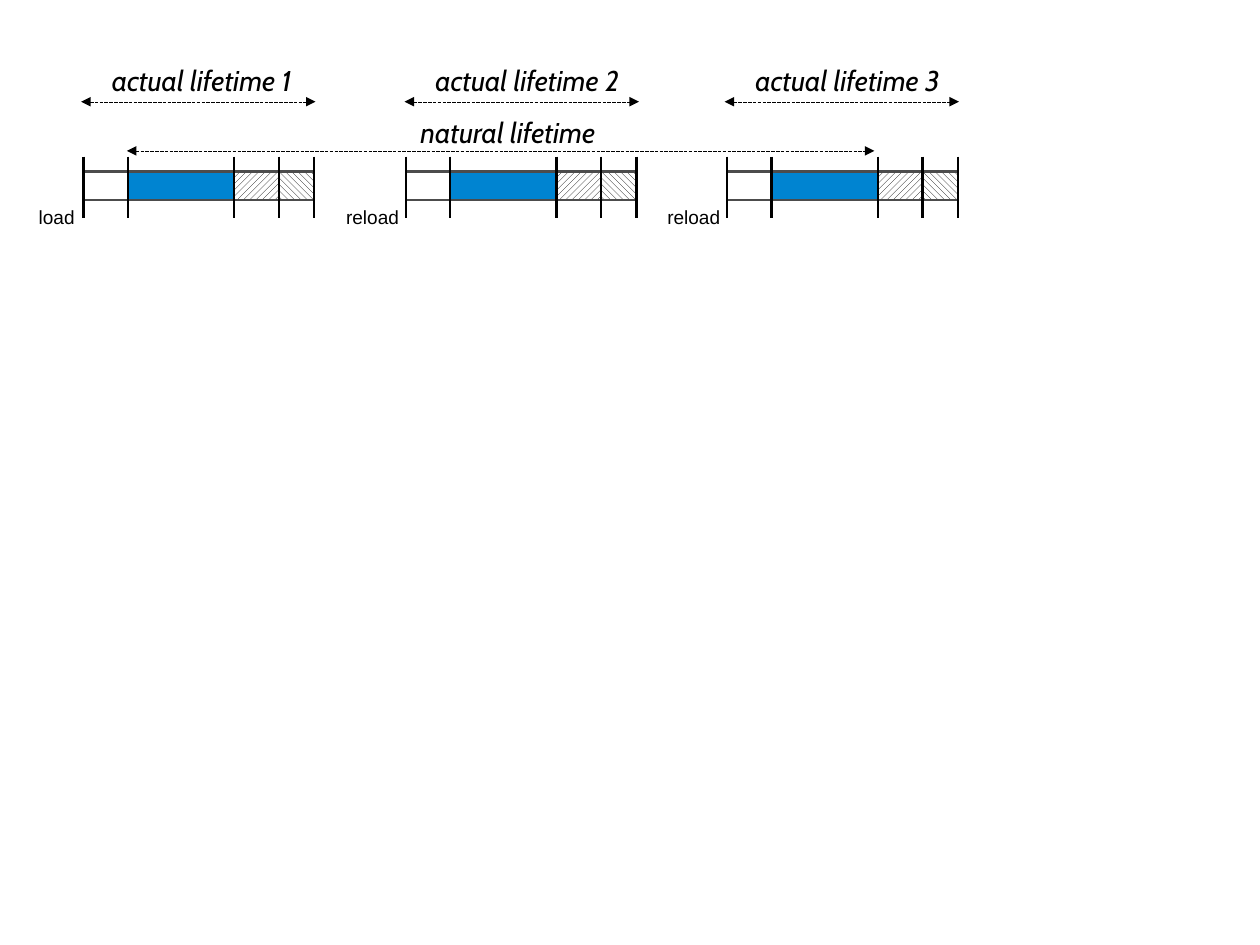
from itertools import pairwise

from lxml import etree
from pptx import Presentation
from pptx.dml.color import RGBColor
from pptx.enum.dml import MSO_LINE, MSO_PATTERN
from pptx.enum.shapes import MSO_CONNECTOR, MSO_SHAPE
from pptx.enum.text import MSO_AUTO_SIZE
from pptx.oxml.ns import qn
from pptx.util import Inches, Pt

RECTANGLE = MSO_SHAPE.RECTANGLE
STRAIGHT = MSO_CONNECTOR.STRAIGHT
FIT_TEXT = MSO_AUTO_SIZE.SHAPE_TO_FIT_TEXT
DASH = MSO_LINE.SQUARE_DOT
UPWARD = MSO_PATTERN.WIDE_UPWARD_DIAGONAL
DOWNWARD = MSO_PATTERN.WIDE_DOWNWARD_DIAGONAL

BLACK = RGBColor(0x00, 0x00, 0x00)
WHITE = RGBColor(0xFF, 0xFF, 0xFF)
BLUE = RGBColor(0x00, 0x84, 0xD1)
GRAY = RGBColor(0x4C, 0x4C, 0x4C)

CENTIMETERS_PER_INCH = 2.54
LINE_WIDTH = Pt(1.45)
TICKS = [0, 0.39, 1.32, 1.71, 2.02]
PHASE_FILLS = [None, BLUE, UPWARD, DOWNWARD]
LIFETIMES = [
    (0.73, 0.71, "load", 0.24, 0.54),
    (3.55, 3.54, "reload", 2.93, 0.66),
    (6.36, 6.34, "reload", 5.74, 0.66),
]


def add_line(shapes, left, top, right, bottom):
    """Add a plain black line without a shadow and return it."""
    line = shapes.add_connector(
        STRAIGHT, Inches(left), Inches(top), Inches(right), Inches(bottom)
    )
    line.line.color.rgb = BLACK
    line.line.width = LINE_WIDTH
    etree.SubElement(line._element.spPr, qn("a:effectLst"))
    return line


def add_span(shapes, left, right, top):
    """Add a dashed hairline with an arrowhead at both ends."""
    span = add_line(shapes, left, top, right, top)
    span.line.dash_style = DASH
    outline = span.line._get_or_add_ln()
    outline.set("w", "0")
    for end in ("a:headEnd", "a:tailEnd"):
        etree.SubElement(outline, qn(end), type="triangle")


def add_label(shapes, text, left, top, width, height, font_name, size, italic=False):
    """Add a single-line text label."""
    label = shapes.add_textbox(
        Inches(left), Inches(top), Inches(width), Inches(height)
    )
    text_frame = label.text_frame
    text_frame.text = text
    text_frame.word_wrap = False
    text_frame.auto_size = FIT_TEXT
    font = text_frame.paragraphs[0].runs[0].font
    font.name = font_name
    font.size = Pt(size)
    font.italic = italic
    font.color.rgb = BLACK


def add_phase(shapes, left, width, phase_fill):
    """Add one phase of a lifetime as an empty, solid or hatched box."""
    phase = shapes.add_shape(
        RECTANGLE, Inches(left), Inches(1.5), Inches(width), Inches(0.25)
    )
    phase.shadow.inherit = False
    phase.line.color.rgb = GRAY
    phase.line.width = LINE_WIDTH
    if phase_fill is None:
        phase.fill.background()
    elif phase_fill == BLUE:
        phase.fill.solid()
        phase.fill.fore_color.rgb = BLUE
    else:
        phase.fill.patterned()
        phase.fill.pattern = phase_fill
        phase.fill.fore_color.rgb = BLACK
        phase.fill.back_color.rgb = WHITE


def add_timeline(shapes, start):
    """Add a group of four phases separated by five ticks."""
    timeline = shapes.add_group_shape().shapes
    for (left, right), phase_fill in zip(pairwise(TICKS), PHASE_FILLS):
        add_phase(timeline, start + left, right - left, phase_fill)
    for tick in TICKS:
        add_line(timeline, start + tick, 1.37, start + tick, 1.91)


def main():
    """Build the lifetime diagram and save it."""
    presentation = Presentation()
    presentation.slide_width = Inches(28 / CENTIMETERS_PER_INCH)
    presentation.slide_height = Inches(21 / CENTIMETERS_PER_INCH)
    slide = presentation.slides.add_slide(presentation.slide_layouts[6])
    shapes = slide.shapes

    for number, lifetime in enumerate(LIFETIMES, 1):
        start, span_left, event, event_left, event_width = lifetime
        add_timeline(shapes, start)
        add_label(shapes, f"actual lifetime {number}", span_left + 0.17, 0.5,
                  1.98, 0.44, "Cabin", 18, italic=True)
        add_span(shapes, span_left, span_left + 2.05, 0.89)
        add_label(shapes, event, event_left, 1.75, event_width, 0.29, "Arial", 12)

    add_span(shapes, 1.11, 7.65, 1.32)
    add_label(shapes, "natural lifetime", 3.58, 0.96, 1.9, 0.44,
              "Cabin", 18, italic=True)
    presentation.save("out.pptx")


if __name__ == "__main__":
    main()
